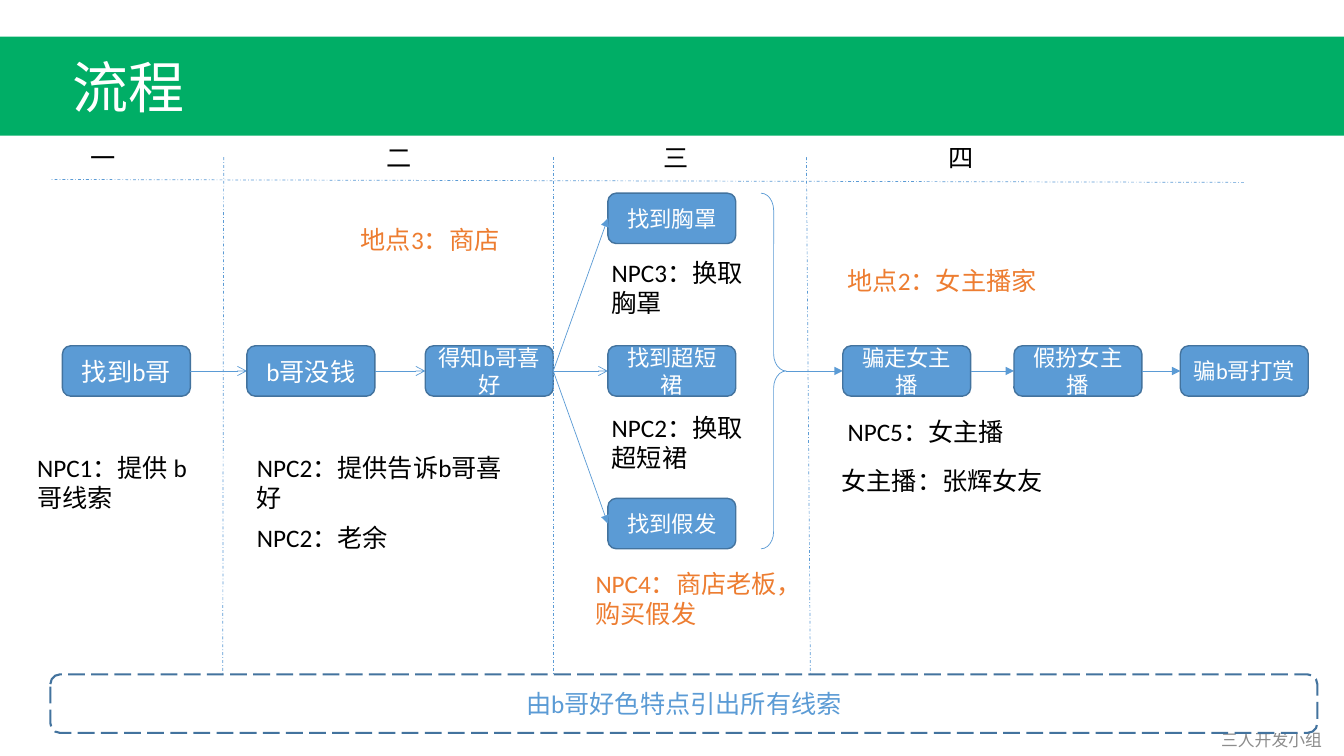
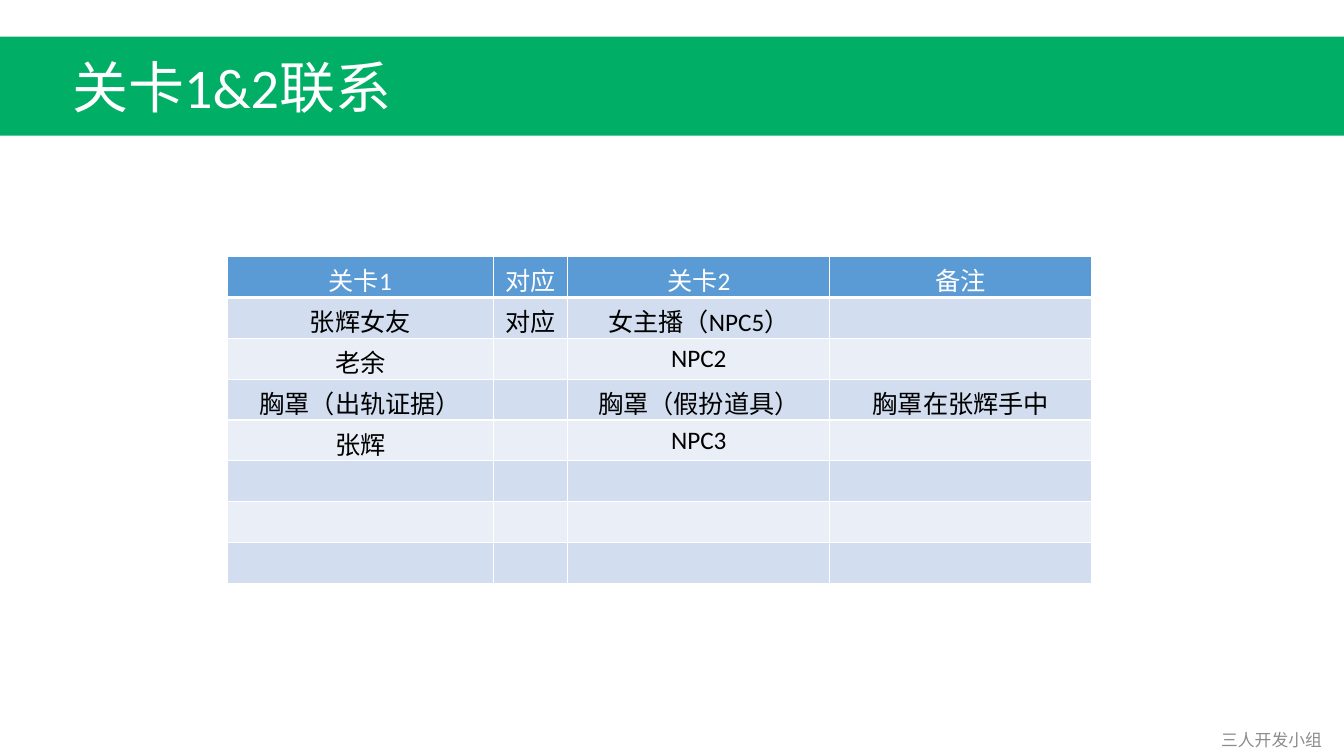
from lxml import etree
from pptx import Presentation
from pptx.dml.color import RGBColor
from pptx.enum import dml, shapes, text
from pptx.oxml.ns import qn
from pptx.util import Pt

GREEN, BLUE, EDGE = "00AE66", "5B9BD5", "43739E"
WHITE, BLACK, GREY, ORANGE = "FFFFFF", "000000", "8C8C8C", "ED7D31"
BANDS = ("EAEFF7", "D2DEEF")
FONT = "Calibri"
SHAPE, DASH = shapes.MSO_SHAPE, dml.MSO_LINE
LEFT, MID = text.PP_ALIGN.LEFT, text.PP_ALIGN.CENTER


def rgb(code):
    return RGBColor.from_string(code)


class Deck:
    def __init__(self):
        self.prs = Presentation()
        self.prs.slide_width, self.prs.slide_height = Pt(960), Pt(540)
        self.slide = None

    def page(self, title):
        """Start a slide with its band, title and footer."""
        self.slide = self.prs.slides.add_slide(self.prs.slide_layouts[6])
        self.shape(SHAPE.RECTANGLE, 0, 26.2, 960, 70.8, GREEN)
        self.label(title, 44.6, 33.8, 338, 55.4, WHITE, size=40)
        foot = self.label("三人开发小组", 856.8, 519, 103, 19.4, GREY, MID, 12)
        foot.vertical_anchor = text.MSO_ANCHOR.MIDDLE

    def words(self, frame, content, color, align, size):
        para = frame.paragraphs[0]
        para.alignment = align
        run = para.add_run()
        run.text = content
        run.font.name, run.font.size = FONT, Pt(size)
        run.font.color.rgb = rgb(color)

    def label(self, content, x, y, w, h, color=BLACK, align=LEFT, size=18):
        box = self.slide.shapes.add_textbox(Pt(x), Pt(y), Pt(w), Pt(h))
        frame = box.text_frame
        frame.word_wrap = True
        self.words(frame, content, color, align, size)
        return frame

    def shape(self, kind, x, y, w, h, fill=None, edge=None, width=1):
        item = self.slide.shapes.add_shape(kind, Pt(x), Pt(y), Pt(w), Pt(h))
        item.shadow.inherit = False
        if fill:
            item.fill.solid()
            item.fill.fore_color.rgb = rgb(fill)
        else:
            item.fill.background()
        if edge:
            item.line.color.rgb = rgb(edge)
            item.line.width = Pt(width)
        else:
            item.line.fill.background()
        return item

    def box(self, content, x, y, w, h, size, fill=BLUE, color=WHITE, width=1):
        item = self.shape(SHAPE.ROUNDED_RECTANGLE, x, y, w, h, fill, EDGE, width)
        item.text_frame.word_wrap = True
        item.text_frame.vertical_anchor = text.MSO_ANCHOR.MIDDLE
        self.words(item.text_frame, content, color, MID, size)
        return item

    def line(self, x1, y1, x2, y2, head=None, dash=None):
        item = self.slide.shapes.add_connector(
            shapes.MSO_CONNECTOR.STRAIGHT, Pt(x1), Pt(y1), Pt(x2), Pt(y2))
        item.line.color.rgb = rgb(BLUE)
        item.line.width = Pt(0.5)
        if dash:
            item.line.dash_style = dash
        props = item._element.spPr
        if head:
            etree.SubElement(props.find(qn("a:ln")), qn("a:tailEnd"), type=head)
        etree.SubElement(props, qn("a:effectLst"))

    def border(self, cell, below):
        props = cell._tc.get_or_add_tcPr()
        for spot, (side, width) in enumerate(
                (("lnL", 1), ("lnR", 1), ("lnT", 1), ("lnB", below))):
            edge = etree.Element(qn("a:" + side), w=str(Pt(width)))
            fill = etree.SubElement(edge, qn("a:solidFill"))
            etree.SubElement(fill, qn("a:srgbClr"), val=WHITE)
            props.insert(spot, edge)

    def table(self, rows, x, y, widths, high):
        grid = self.slide.shapes.add_table(
            len(rows), len(widths), Pt(x), Pt(y),
            Pt(sum(widths)), Pt(high * len(rows))).table
        for col, width in zip(grid.columns, widths):
            col.width = Pt(width)
        for r, row in enumerate(rows):
            grid.rows[r].height = Pt(high)
            for c, content in enumerate(row):
                cell = grid.cell(r, c)
                cell.fill.solid()
                cell.fill.fore_color.rgb = rgb(BANDS[r % 2] if r else BLUE)
                self.border(cell, 1 if r else 3)
                if content:
                    self.words(cell.text_frame, content,
                               BLACK if r else WHITE, MID, 18)


deck = Deck()

# Slide 1: flow of the level
deck.page("流程")
WIDE, HIGH, TOP, STEP = 91.4, 36, 247, 109
AXIS = TOP + HIGH / 2

# Steps along the middle row, with size of text and arrow to the next step
steps = [
    ("找到b哥", 44.6, 18, "arrow"),
    ("b哥没钱", 176.4, 18, "arrow"),
    ("得知b哥喜好", 303.8, 16, "arrow"),
    ("找到超短裙", 434.2, 16, None),
    ("骗走女主播", 602, 16, "triangle"),
    ("假扮女主播", 724.3, 16, "triangle"),
    ("骗b哥打赏", 843.1, 16, None),
]
for n, (name, x, size, head) in enumerate(steps):
    deck.box(name, x, TOP, WIDE, HIGH, size)
    if head:
        deck.line(x + WIDE, AXIS, steps[n + 1][1], AXIS, head)

# Branches above and below, gathered by the brace
fork, items = steps[2][1] + WIDE, steps[3][1]
for name, shift in (("找到胸罩", -STEP), ("找到假发", STEP)):
    deck.box(name, items, TOP + shift, WIDE, HIGH, 16)
    deck.line(fork, AXIS, items, AXIS + shift, "triangle")
brace = deck.shape(SHAPE.RIGHT_BRACE, 543.6, TOP - STEP, 18,
                   2 * STEP + HIGH, edge=BLUE, width=0.5)
brace.adjustments[0] = 0.68
deck.line(561.6, AXIS, steps[4][1], AXIS, "triangle")

# Stage grid and headings
for x1, x2 in ((159.8, 159.1), (395.3, 395.3), (576, 578.9)):
    deck.line(x1, 112.3, x2, 486.7, dash=DASH.DASH_DOT)
deck.line(888.5, 130.3, 36, 128.2, dash=DASH.DASH_DOT)
for stage, x in (("一", 36), ("二", 247.7), ("三", 445.7), ("四", 649.4)):
    deck.label(stage, x, 97.9, 74.9, 29, align=MID)

# Notes on characters and places
for note, x, y, w, h, color in (
    ("NPC1：提供 b哥线索", 19.4, 319.7, 134.6, 51, BLACK),
    ("NPC2：提供告诉b哥喜好", 176.4, 319.7, 206.6, 51, BLACK),
    ("NPC2：老余", 176.4, 369.4, 206.6, 29, BLACK),
    ("NPC3：换取胸罩", 429.8, 180, 118.8, 51, BLACK),
    ("NPC2：换取超短裙", 429.8, 290.9, 118.8, 51, BLACK),
    ("NPC4：商店老板，购买假发", 418.3, 402.5, 146.2, 51, ORANGE),
    ("NPC5：女主播", 598.3, 293.8, 142.6, 29, BLACK),
    ("女主播：张辉女友", 594, 329, 244, 29, BLACK),
    ("地点2：女主播家", 598.3, 185.8, 258.5, 29, ORANGE),
    ("地点3：商店", 250.6, 157, 139, 29, ORANGE),
):
    deck.label(note, x, y, w, h, color)

# Summary bar
bar = deck.box("由b哥好色特点引出所有线索", 36, 481.7, 905, 41.8, 18, WHITE, BLUE, 1.5)
bar.line.dash_style = DASH.LONG_DASH

# Slide 2: links between the levels
deck.page("关卡1&2联系")
links = [
    ("关卡1", "对应", "关卡2", "备注"),
    ("张辉女友", "对应", "女主播（NPC5）", ""),
    ("老余", "", "NPC2", ""),
    ("胸罩（出轨证据）", "", "胸罩（假扮道具）", "胸罩在张辉手中"),
    ("张辉", "", "NPC3", ""),
] + [("",) * 4] * 3
deck.table(links, 162.4, 183.2, (190, 53.2, 187.2, 187.2), 29.2)

deck.prs.save("out.pptx")
